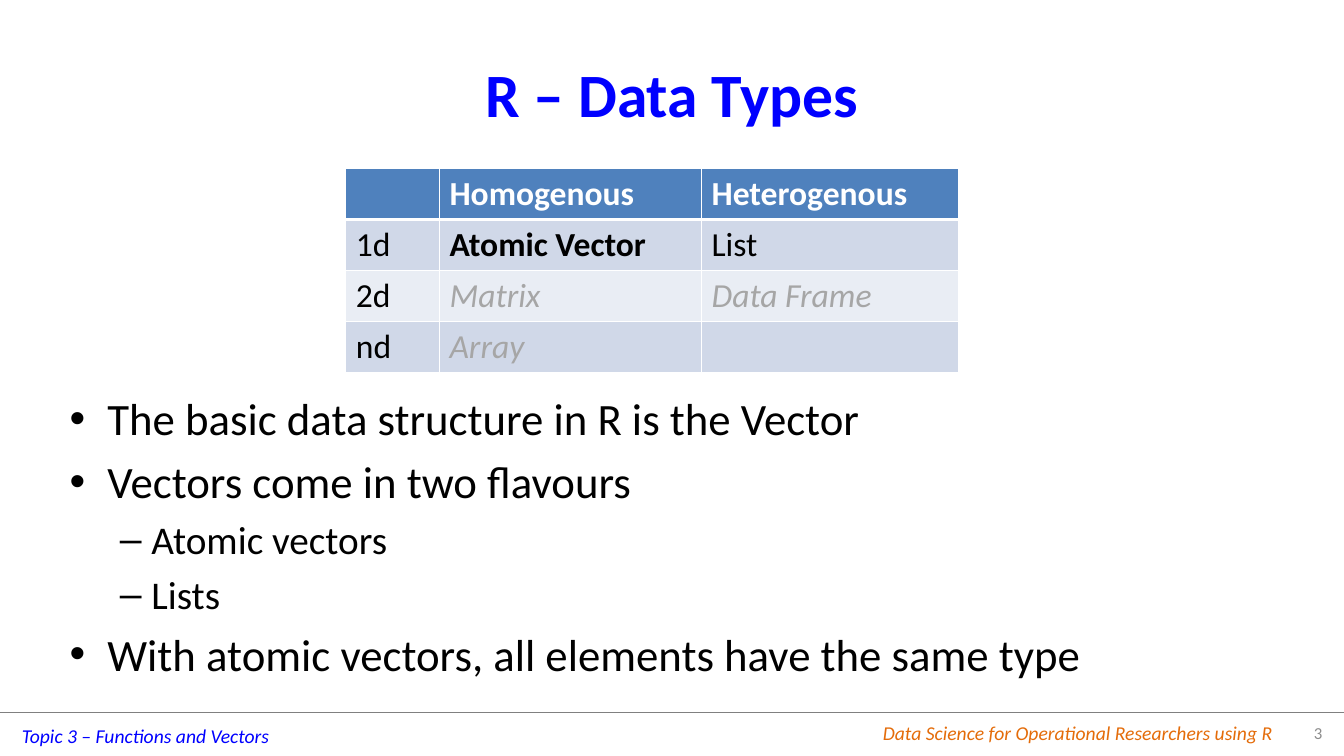
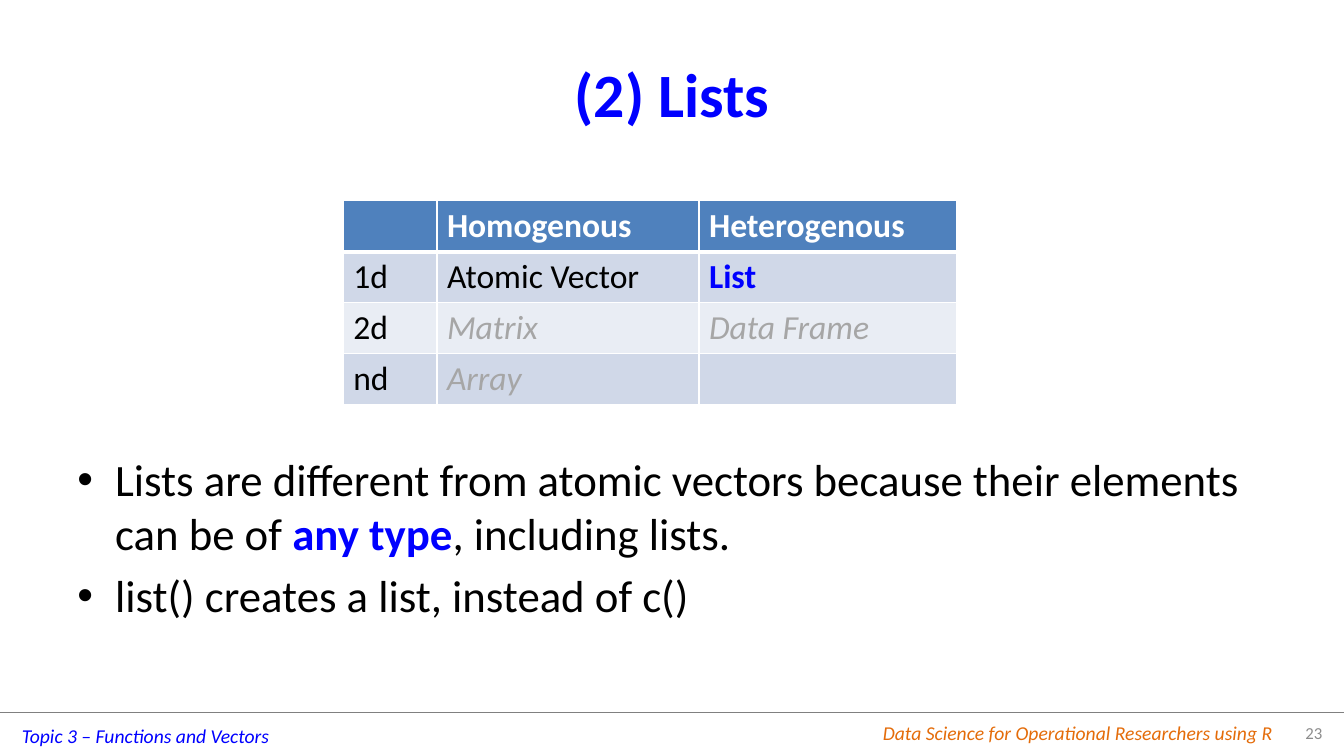
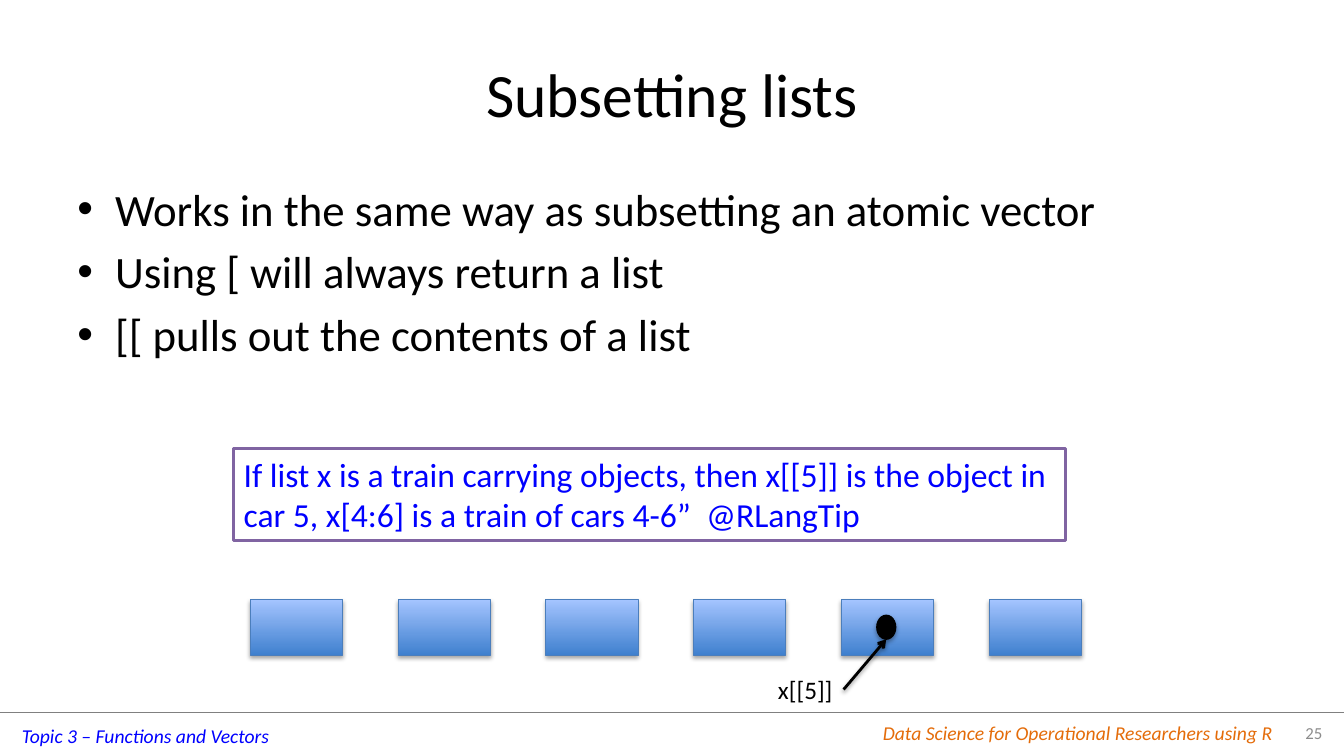
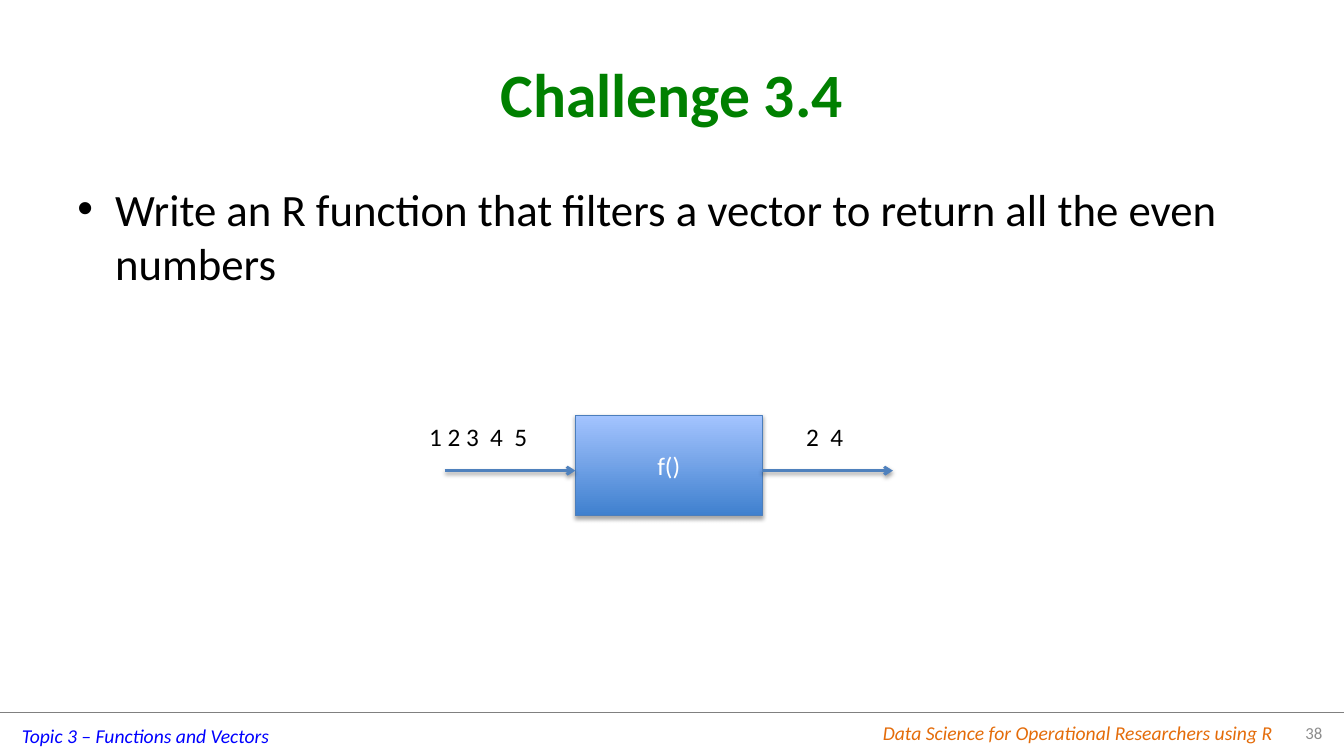
from dataclasses import dataclass
from typing import Any, NamedTuple

from lxml.etree import SubElement
from pptx import Presentation
from pptx.dml.color import RGBColor
from pptx.enum.shapes import MSO_CONNECTOR, MSO_SHAPE
from pptx.enum.text import MSO_ANCHOR, MSO_AUTO_SIZE, PP_ALIGN
from pptx.oxml.ns import qn
from pptx.util import Pt

# Palette and shared text
BLACK, WHITE, BLUE, GREEN = "000000", "FFFFFF", "0000FF", "008000"
ORANGE, GREY, MUTED, RULE = "E46C0A", "8C8C8C", "A6A6A6", "808080"
ACCENT, BAND_DARK, BAND_LIGHT = "4F81BD", "D0D8E8", "E9EDF4"
BOX_LOW, BOX_HIGH, BOX_EDGE, PURPLE = "3F80CE", "A4C4FF", "4B7EBC", "8064A2"
FONT = "Calibri"
TOPIC = "Topic 3 – Functions and Vectors"
COURSE = "Data Science for Operational Researchers using R"
SLIDE_WIDTH, SLIDE_HEIGHT = 960, 540
LEVEL_SIZES = (32, 28)


class Area(NamedTuple):
    left: float
    top: float
    width: float
    height: float

    def lengths(self) -> list[Pt]:
        return [Pt(value) for value in self]


class Point(NamedTuple):
    x: float
    y: float


@dataclass(frozen=True)
class Words:
    text: str
    color: str = BLACK
    bold: bool = False
    italic: bool = False


@dataclass(frozen=True)
class Bullet:
    runs: tuple[Words, ...]
    level: int = 0


@dataclass(frozen=True)
class Page:
    number: int
    title: Words
    body: Area
    bullets: tuple[Bullet, ...]


TITLE_AREA = Area(48, 21.6, 864, 90)
FOOTER_TOP = 509


def bullet(text: str, level: int = 0) -> Bullet:
    return Bullet((Words(text),), level)


PAGES = (
    Page(3, Words("R – Data Types", BLUE, True), Area(42.5, 275.8, 864, 224.6), (
        bullet("The basic data structure in R is the Vector"),
        bullet("Vectors come in two flavours"),
        bullet("Atomic vectors", 1),
        bullet("Lists", 1),
        bullet("With atomic vectors, all elements have the same type"),
    )),
    Page(23, Words("(2) Lists", BLUE, True), Area(48, 319, 864, 158.4), (
        Bullet((
            Words("Lists are different from atomic vectors because their elements can be of "),
            Words("any type", BLUE, True),
            Words(", including lists."),
        )),
        bullet("list() creates a list, instead of c()"),
    )),
    Page(25, Words("Subsetting lists"), Area(48, 126, 864, 159), (
        bullet("Works in the same way as subsetting an atomic vector"),
        bullet("Using [ will always return a list"),
        bullet("[[ pulls out the contents of a list"),
    )),
    Page(38, Words("Challenge 3.4", GREEN, True), Area(48, 126, 864, 356.4), (
        bullet("Write an R function that filters a vector to return all the even numbers"),
    )),
)


# Formatting helpers
def rgb(color: str) -> RGBColor:
    return RGBColor.from_string(color)


def apply(target: Any, values: dict[str, Any]) -> None:
    for name, value in values.items():
        setattr(target, name, value)


def place(shape: Any, area: Area) -> None:
    apply(shape, dict(zip(Area._fields, area.lengths())))


def write(paragraph: Any, words: Words, size: float) -> None:
    run = paragraph.add_run()
    run.text = words.text
    apply(run.font, {"name": FONT, "size": Pt(size),
                     "bold": words.bold, "italic": words.italic})
    run.font.color.rgb = rgb(words.color)


def fill_solid(target: Any, color: str) -> None:
    target.fill.solid()
    target.fill.fore_color.rgb = rgb(color)


def set_line(shape: Any, color: str, width: float) -> None:
    shape.line.color.rgb = rgb(color)
    shape.line.width = Pt(width)


def add_shadow(effects: Any, opacity: int, distance: float) -> None:
    shadow = SubElement(effects, qn("a:outerShdw"), blurRad=str(Pt(3.1)),
                        dist=str(Pt(distance)), dir="5400000", rotWithShape="0")
    color = SubElement(shadow, qn("a:srgbClr"), val=BLACK)
    SubElement(color, qn("a:alpha"), val=str(opacity * 1000))


# Drawing helpers
def add_label(slide: Any, area: Area, words: Words, size: float) -> Any:
    label = slide.shapes.add_textbox(*area.lengths())
    label.text_frame.word_wrap = False
    write(label.text_frame.paragraphs[0], words, size)
    return label


def add_line(slide: Any, start: Point, end: Point, color: str, width: float,
             arrow: bool = True) -> None:
    line = slide.shapes.add_connector(
        MSO_CONNECTOR.STRAIGHT, *(Pt(value) for value in (*start, *end)))
    set_line(line, color, width)
    effects = SubElement(line._element.spPr, qn("a:effectLst"))
    if arrow:
        SubElement(line.line._get_or_add_ln(), qn("a:tailEnd"), type="arrow")
        add_shadow(effects, 38, 1.6)


def add_solid(slide: Any, kind: MSO_SHAPE, area: Area, shadow: bool = True) -> Any:
    shape = slide.shapes.add_shape(kind, *area.lengths())
    shape.shadow.inherit = False
    if shadow:
        add_shadow(shape._element.spPr.find(qn("a:effectLst")), 35, 1.8)
    return shape


def add_glossy_box(slide: Any, area: Area) -> Any:
    box = add_solid(slide, MSO_SHAPE.RECTANGLE, area)
    box.fill.gradient()
    box.fill.gradient_angle = 90
    for stop, color in zip(box.fill.gradient_stops, (BOX_LOW, BOX_HIGH)):
        stop.color.rgb = rgb(color)
    set_line(box, BOX_EDGE, 0.75)
    return box


def set_borders(cell: Any, bottom: float) -> None:
    properties = cell._tc.get_or_add_tcPr()
    for side, width in (("L", 1), ("R", 1), ("T", 1), ("B", bottom)):
        border = SubElement(properties, qn(f"a:ln{side}"), w=str(Pt(width)))
        paint = SubElement(border, qn("a:solidFill"))
        SubElement(paint, qn("a:srgbClr"), val=WHITE)


def add_types_table(slide: Any, left: float, top: float, vector: Words, item: Words) -> None:
    rows = (
        (None, Words("Homogenous", WHITE, True), Words("Heterogenous", WHITE, True)),
        (Words("1d"), vector, item),
        (Words("2d"), Words("Matrix", MUTED, italic=True), Words("Data Frame", MUTED, italic=True)),
        (Words("nd"), Words("Array", MUTED, italic=True), None),
    )
    widths, row_height = (66.9, 187.2, 183.9), 36.5
    area = Area(left, top, sum(widths), row_height * len(rows))
    table = slide.shapes.add_table(len(rows), len(widths), *area.lengths()).table
    for column, width in zip(table.columns, widths):
        column.width = Pt(width)
    for r, entries in enumerate(rows):
        band = ACCENT if r == 0 else BAND_DARK if r % 2 else BAND_LIGHT
        for c, words in enumerate(entries):
            cell = table.cell(r, c)
            set_borders(cell, 3 if r == 0 else 1)
            fill_solid(cell, band)
            if words:
                write(cell.text_frame.paragraphs[0], words, 24)


# Parts shared by every slide
def add_footer(slide: Any, number: int) -> None:
    add_line(slide, Point(0, FOOTER_TOP), Point(SLIDE_WIDTH, FOOTER_TOP), RULE, 0.25, arrow=False)
    add_label(slide, Area(8.6, 513.4, 193, 24.2), Words(TOPIC, BLUE, italic=True), 14)
    add_label(slide, Area(623.5, 511.6, 296, 24.2), Words(COURSE, ORANGE, italic=True), 14)
    page = add_label(slide, Area(912, FOOTER_TOP, 39.6, 28.2), Words(str(number), GREY), 12)
    apply(page.text_frame, {"word_wrap": True, "vertical_anchor": MSO_ANCHOR.MIDDLE})
    page.text_frame.paragraphs[0].alignment = PP_ALIGN.RIGHT


def add_page(deck: Any, page: Page) -> Any:
    slide = deck.slides.add_slide(deck.slide_layouts[1])
    title, body = slide.placeholders
    place(title, TITLE_AREA)
    write(title.text_frame.paragraphs[0], page.title, 44)
    place(body, page.body)
    frame = body.text_frame
    frame.auto_size = MSO_AUTO_SIZE.NONE
    for index, entry in enumerate(page.bullets):
        paragraph = frame.add_paragraph() if index else frame.paragraphs[0]
        paragraph.level = entry.level
        for words in entry.runs:
            write(paragraph, words, LEVEL_SIZES[entry.level])
    add_footer(slide, page.number)
    return slide


# Diagrams
def draw_train(slide: Any) -> None:
    quote = add_solid(slide, MSO_SHAPE.RECTANGLE, Area(167, 320.4, 594, 65.5), shadow=False)
    fill_solid(quote, WHITE)
    set_line(quote, PURPLE, 2)
    apply(quote.text_frame, {"word_wrap": True, "vertical_anchor": MSO_ANCHOR.TOP})
    saying = quote.text_frame.paragraphs[0]
    saying.alignment = PP_ALIGN.LEFT
    write(saying, Words("If list x is a train carrying objects, then x[[5]] is the object in "
                        "car 5, x[4:6] is a train of cars 4-6”  @RLangTip", BLUE), 24)

    car_pitch = 105.5
    for car in range(6):
        add_glossy_box(slide, Area(179 + car * car_pitch, 428.2, 65.8, 40))

    cargo = add_solid(slide, MSO_SHAPE.OVAL, Area(626.2, 439.4, 13.7, 17.3))
    fill_solid(cargo, BLACK)
    set_line(cargo, BLACK, 0.75)
    add_label(slide, Area(548.6, 478.1, 54, 29), Words("x[[5]]"), 18)
    add_line(slide, Point(602.6, 492.5), Point(633, 456.7), BLACK, 2)


def draw_filter(slide: Any) -> None:
    box = Area(411, 296.6, 133.5, 72)
    function = add_glossy_box(slide, box)
    function.text_frame.vertical_anchor = MSO_ANCHOR.MIDDLE
    name = function.text_frame.paragraphs[0]
    name.alignment = PP_ALIGN.CENTER
    write(name, Words("f()", WHITE), 18)

    flow_y, flow_length = 336.2, 93.3
    for start in (box.left - flow_length, box.left + box.width):
        add_line(slide, Point(start, flow_y), Point(start + flow_length, flow_y), ACCENT, 2)
    add_label(slide, Area(299.5, 297.4, 90, 29), Words("1 2 3  4  5"), 18)
    add_label(slide, Area(568.8, 297.4, 41, 29), Words("2  4"), 18)


def main() -> None:
    deck = Presentation()
    deck.slide_width, deck.slide_height = Pt(SLIDE_WIDTH), Pt(SLIDE_HEIGHT)
    types, lists, subsetting, challenge = (add_page(deck, page) for page in PAGES)
    add_types_table(types, 247, 120.4, Words("Atomic Vector", bold=True), Words("List"))
    add_types_table(lists, 245.2, 143.3, Words("Atomic Vector"), Words("List", BLUE, True))
    draw_train(subsetting)
    draw_filter(challenge)
    deck.save("out.pptx")


if __name__ == "__main__":
    main()
